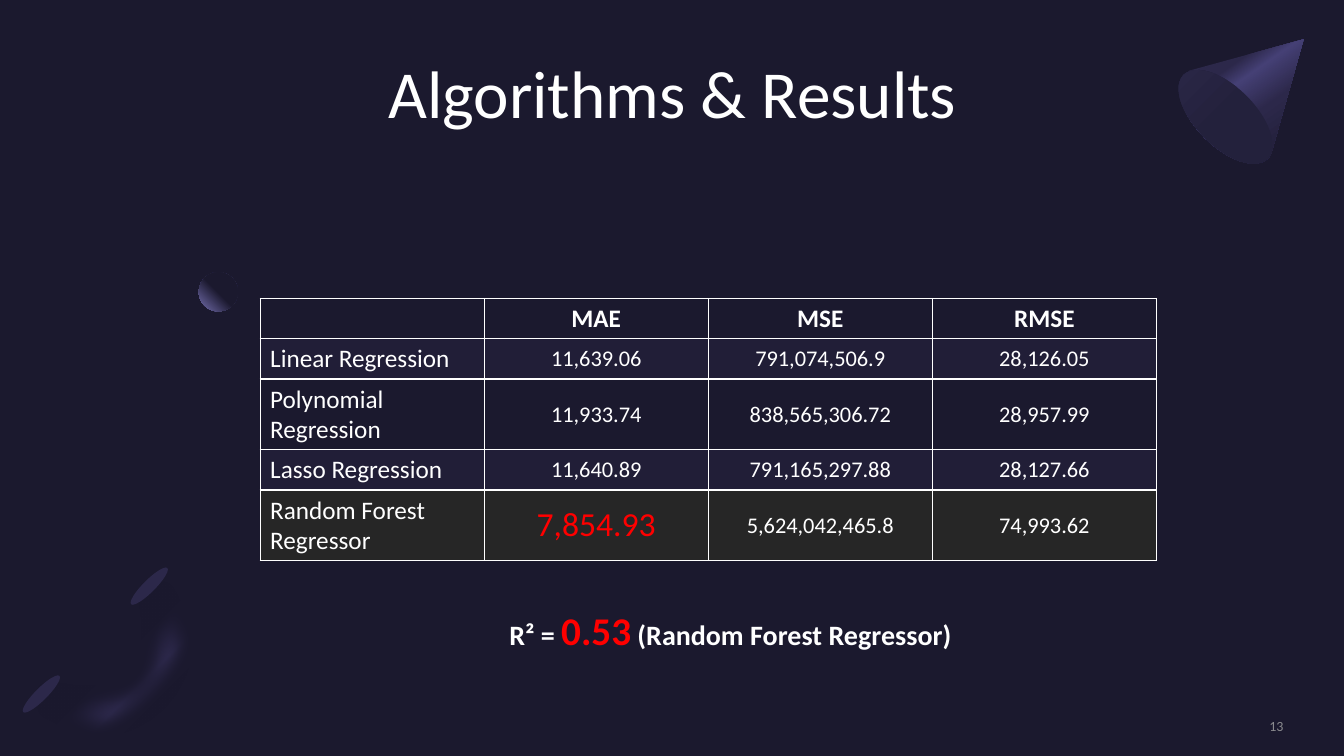
from typing import NamedTuple

from lxml import etree
from pptx import Presentation
from pptx import util as u
from pptx.dml.color import RGBColor
from pptx.enum import shapes, text
from pptx.oxml import ns

FONT = "Calibri"
WHITE, RED, NIGHT, PLUM = "FFFFFF", "FF0000", "1B192E", "2C284A"
BAND, DARK = "211E37", "262626"
CENTER, LEFT, RIGHT = text.PP_ALIGN.CENTER, text.PP_ALIGN.LEFT, text.PP_ALIGN.RIGHT


class Run(NamedTuple):
    words: str
    size: float
    color: str = WHITE
    bold: bool = False


class Gradient(NamedTuple):
    stops: list
    angle: float = 0
    focus: str = ""


class Oval(NamedTuple):
    left: float
    top: float
    width: float
    height: float
    turn: float
    fill: str | Gradient


class Label(NamedTuple):
    left: float
    top: float
    width: float
    height: float
    align: text.PP_ALIGN
    runs: list
    inset: bool = False
    spacing: float = 1.0
    anchor: text.MSO_ANCHOR = text.MSO_ANCHOR.TOP


class Result(NamedTuple):
    model: str
    scores: list
    fill: str = ""


def rgb(value):
    return RGBColor.from_string(value)


def child(parent, tag, **attrs):
    return etree.SubElement(parent, ns.qn(tag), {k: str(v) for k, v in attrs.items()})


def paint(sp, fill: str | Gradient):
    sp.shadow.inherit = False
    sp.line.fill.background()
    if isinstance(fill, str):
        sp.fill.solid()
        sp.fill.fore_color.rgb = rgb(fill)
        return
    sp.fill.background()
    old = sp._element.spPr.find(ns.qn("a:noFill"))
    grad = etree.Element(ns.qn("a:gradFill"), rotWithShape="1")
    stops = child(grad, "a:gsLst")
    for place, color in fill.stops:
        child(child(stops, "a:gs", pos=place * 1000), "a:srgbClr", val=color)
    if fill.focus:
        corner = {side: 100000 for side in fill.focus}
        child(child(grad, "a:path", path="circle"), "a:fillToRect", **corner)
    else:
        child(grad, "a:lin", ang=fill.angle * 60000, scaled=0)
    old.getparent().replace(old, grad)


def outline(s, start, segments, fill: str | Gradient):
    builder = s.shapes.build_freeform(u.Inches(start[0]), u.Inches(start[1]))
    builder.add_line_segments([(u.Inches(x), u.Inches(y)) for seg in segments for x, y in seg])
    sp = builder.convert_to_shape()
    lines = iter(list(sp._element.spPr.iter(ns.qn("a:lnTo"))))
    for seg in segments:
        steps = [next(lines) for _ in seg]
        if len(seg) == 3:
            curve = etree.Element(ns.qn("a:cubicBezTo"))
            steps[0].addprevious(curve)
            for step in steps:
                curve.append(step[0])
                step.getparent().remove(step)
    paint(sp, fill)
    return sp


def add_oval(s, oval: Oval):
    sp = s.shapes.add_shape(shapes.MSO_SHAPE.OVAL, *map(u.Inches, oval[:4]))
    sp.rotation = oval.turn
    paint(sp, oval.fill)


def write(tf, runs, align):
    p = tf.paragraphs[0]
    p.alignment = align
    for run in runs:
        r = p.add_run()
        r.text = run.words
        r.font.name = FONT
        r.font.size = u.Pt(run.size)
        r.font.bold = run.bold
        r.font.color.rgb = rgb(run.color)
    return p


def add_label(s, label: Label):
    tf = s.shapes.add_textbox(*map(u.Inches, label[:4])).text_frame
    tf.word_wrap = True
    tf.vertical_anchor = label.anchor
    if not label.inset:
        tf.margin_left = tf.margin_right = tf.margin_top = tf.margin_bottom = 0
    write(tf, label.runs, label.align).line_spacing = label.spacing


def style_cell(cell, fill):
    tc_pr = cell._tc.get_or_add_tcPr()
    for side in ("L", "R", "T", "B"):
        line = child(tc_pr, f"a:ln{side}", w=u.Pt(1))
        child(child(line, "a:solidFill"), "a:srgbClr", val=WHITE)
    if fill:
        cell.fill.solid()
        cell.fill.fore_color.rgb = rgb(fill)
    else:
        cell.fill.background()


def add_results(s, headings, results):
    rows = [Result("", [Run(h, 18, bold=True) for h in headings]), *results]
    frame = s.shapes.add_table(len(rows), len(headings) + 1, u.Inches(2.58), u.Inches(2.96),
                               u.Inches(8.89), u.Inches(0.4 * len(rows)))
    table = frame.table
    table.first_row = table.horz_banding = False
    for i, result in enumerate(rows):
        for j, run in enumerate([Run(result.model, 18), *result.scores]):
            cell = table.cell(i, j)
            style_cell(cell, result.fill)
            if i and j:
                cell.vertical_anchor = text.MSO_ANCHOR.MIDDLE
            if run.words:
                write(cell.text_frame, [run], CENTER if j else LEFT)


def scores(*values):
    return [Run(v, 16) for v in values]


prs = Presentation()
prs.slide_width, prs.slide_height = u.Inches(13.33), u.Inches(7.5)
s = prs.slides.add_slide(prs.slide_layouts[6])
s.background.fill.solid()
s.background.fill.fore_color.rgb = rgb(NIGHT)

ring = outline(s, (1.67, 7.07), [
    [(2.07, 6.67), (2.01, 5.97), (1.54, 5.51)],
    [(1.19, 5.87)],
    [(1.42, 6.1), (1.45, 6.45), (1.25, 6.65)],
    [(1.05, 6.85), (0.7, 6.82), (0.47, 6.58)],
    [(0.11, 6.94)],
    [(0.58, 7.41), (1.28, 7.47), (1.67, 7.07)],
], Gradient([(54, NIGHT), (65, "342F57"), (73, NIGHT)], 45))
child(ring._element.spPr.find(ns.qn("a:effectLst")), "a:softEdge", rad=u.Inches(0.18))

for left, top in ((1.42, 5.56), (0.35, 6.63)):
    add_oval(s, Oval(left, top, 0.12, 0.51, 45, PLUM))

outline(s, (12.93, 0.39), [
    [(12.61, 1.52)],
    [(12.6, 1.54), (12.59, 1.56), (12.58, 1.57)],
    [(12.46, 1.69), (12.18, 1.6), (11.95, 1.37)],
    [(11.72, 1.14), (11.63, 0.86), (11.74, 0.74)],
    [(11.76, 0.73), (11.77, 0.71), (11.79, 0.71)],
    [(11.8, 0.7)],
    [(12.93, 0.39)],
], Gradient([(30, PLUM), (40, "454075"), (60, PLUM), (100, NIGHT)], 55))
add_oval(s, Oval(11.86, 0.57, 0.59, 1.18, 135, Gradient([(50, "23213C"), (100, PLUM)], 90)))
add_oval(s, Oval(1.97, 2.7, 0.39, 0.39, 0,
                 Gradient([(50, NIGHT), (100, "7771B2")], focus="lb")))

add_label(s, Label(0.6, 0.6, 12.14, 1.3, CENTER, [Run("Algorithms & Results", 48)], spacing=0.9))
add_label(s, Label(10.88, 7.12, 1.85, 0.17, RIGHT, [Run("13", 10, "8A8A8E")],
                   anchor=text.MSO_ANCHOR.MIDDLE))
add_results(s, ["MAE", "MSE", "RMSE"], [
    Result("Linear Regression", scores("11,639.06", "791,074,506.9", "28,126.05"), BAND),
    Result("Polynomial Regression", scores("11,933.74", "838,565,306.72", "28,957.99")),
    Result("Lasso Regression", scores("11,640.89", "791,165,297.88", "28,127.66"), BAND),
    Result("Random Forest Regressor",
           [Run("7,854.93", 24, RED), *scores("5,624,042,465.8", "74,993.62")], DARK),
])
add_label(s, Label(2.83, 5.97, 8.89, 0.57, CENTER, [
    Run("R² = ", 20, bold=True),
    Run("0.53", 28, RED, True),
    Run(" (Random Forest Regressor) ", 20, bold=True),
], inset=True))

prs.save("out.pptx")
